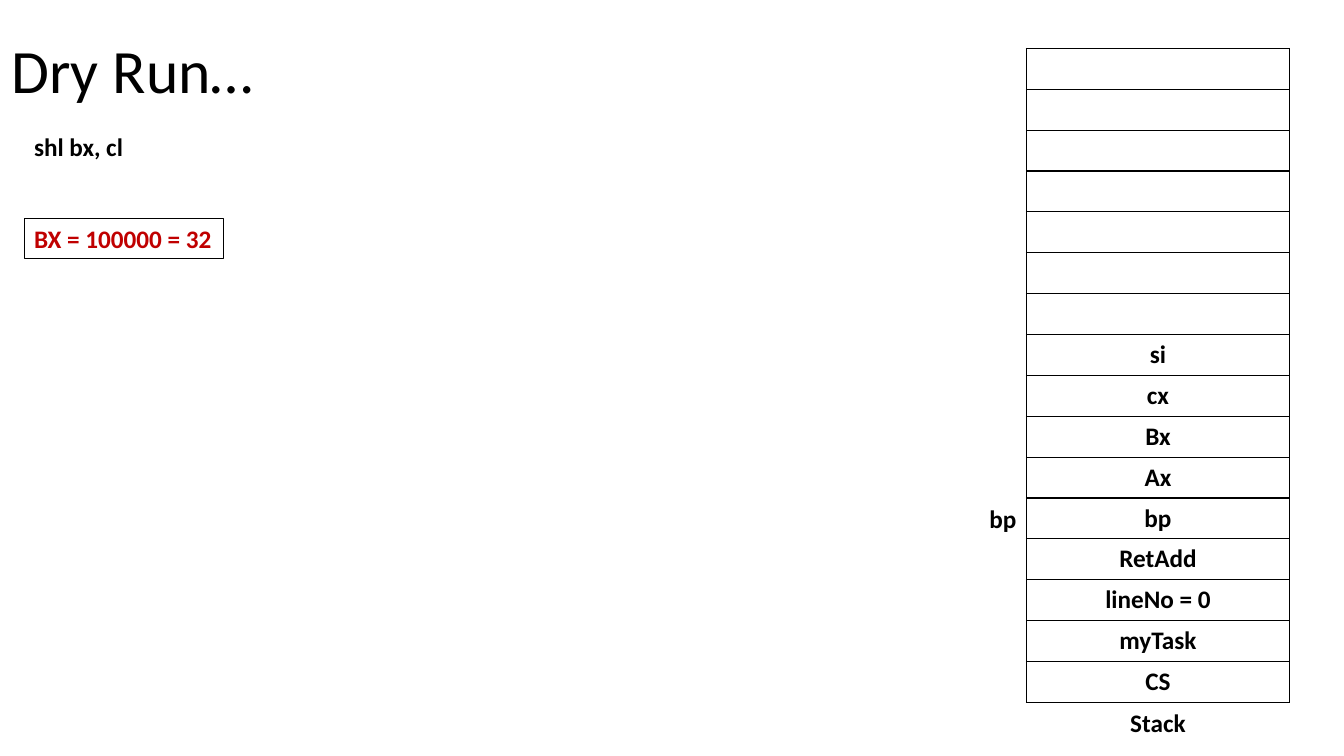
from dataclasses import dataclass

from lxml import etree
from pptx import Presentation
from pptx.dml.color import RGBColor
from pptx.enum.shapes import MSO_SHAPE
from pptx.enum.text import MSO_ANCHOR, MSO_AUTO_SIZE, PP_ALIGN
from pptx.oxml.ns import qn
from pptx.util import Inches, Pt

RECTANGLE = MSO_SHAPE.RECTANGLE
MIDDLE = MSO_ANCHOR.MIDDLE
FIXED_SIZE = MSO_AUTO_SIZE.NONE
GROW_TO_TEXT = MSO_AUTO_SIZE.SHAPE_TO_FIT_TEXT
LEFT, CENTER, RIGHT = PP_ALIGN.LEFT, PP_ALIGN.CENTER, PP_ALIGN.RIGHT
CELL_EDGES = ("a:lnL", "a:lnR", "a:lnT", "a:lnB")


@dataclass(frozen=True)
class Theme:
    font: str = "Calibri"
    ink: str = "000000"
    result: str = "C00000"
    title_size: int = 44
    body_size: int = 18
    box_line: float = 0.75
    cell_line: float = 1


class SlideBuilder:
    GRID = 100

    def __init__(self, presentation, theme):
        self.theme = theme
        self.width = presentation.slide_width
        self.height = presentation.slide_height
        self.slide = presentation.slides.add_slide(presentation.slide_layouts[5])

    def place(self, left, top, width, height):
        return (
            round(left * self.width / self.GRID),
            round(top * self.height / self.GRID),
            round(width * self.width / self.GRID),
            round(height * self.height / self.GRID),
        )

    def set_text(self, text_frame, text, size, color, alignment, bold=True):
        text_frame.text = text
        paragraph = text_frame.paragraphs[0]
        paragraph.alignment = alignment
        paragraph.font.name = self.theme.font
        paragraph.font.size = Pt(size)
        paragraph.font.bold = bold
        paragraph.font.color.rgb = RGBColor.from_string(color)
        return paragraph

    def title(self, text, *area):
        title = self.slide.shapes.title
        title.left, title.top, title.width, title.height = self.place(*area)
        title.text_frame.vertical_anchor = MIDDLE
        title.text_frame.auto_size = FIXED_SIZE
        paragraph = self.set_text(title.text_frame, text, self.theme.title_size,
                                  self.theme.ink, LEFT, bold=False)
        paragraph.line_spacing = 0.9

    def fit_text(self, shape, text, color, alignment):
        shape.text_frame.word_wrap = False
        shape.text_frame.auto_size = GROW_TO_TEXT
        self.set_text(shape.text_frame, text, self.theme.body_size, color, alignment)

    def label(self, text, *area, alignment=LEFT):
        shape = self.slide.shapes.add_textbox(*self.place(*area))
        self.fit_text(shape, text, self.theme.ink, alignment)

    def result_box(self, text, *area):
        shape = self.slide.shapes.add_shape(RECTANGLE, *self.place(*area))
        shape.shadow.inherit = False
        shape.fill.background()
        shape.line.color.rgb = RGBColor.from_string(self.theme.ink)
        shape.line.width = Pt(self.theme.box_line)
        self.fit_text(shape, text, self.theme.result, LEFT)

    def border(self, cell):
        properties = cell._tc.get_or_add_tcPr()
        for edge in CELL_EDGES:
            line = etree.SubElement(properties, qn(edge), w=str(Pt(self.theme.cell_line)))
            fill = etree.SubElement(line, qn("a:solidFill"))
            etree.SubElement(fill, qn("a:srgbClr"), val=self.theme.ink)

    def stack(self, entries, left, top, width, row_height):
        area = self.place(left, top, width, row_height * len(entries))
        table = self.slide.shapes.add_table(len(entries), 1, *area).table
        table.first_row = False
        table.horz_banding = False
        for row, entry in enumerate(entries):
            cell = table.cell(row, 0)
            self.border(cell)
            cell.fill.background()
            self.set_text(cell.text_frame, entry, self.theme.body_size, self.theme.ink, CENTER)


def main():
    presentation = Presentation()
    presentation.slide_width = Inches(13.33)
    presentation.slide_height = Inches(7.5)
    builder = SlideBuilder(presentation, Theme())

    pushed = ["si", "cx", "Bx", "Ax", "bp", "RetAdd", "lineNo = 0", "myTask", "CS"]
    entries = [""] * 7 + pushed
    stack_left, stack_top, stack_width, row = 76.37, 6.4, 19.58, 5.41
    text_left, text_height = 1.8, 5.33
    pointer_width, caption_width = 3.53, 5.7

    builder.title("Dry Run…", 0.08, 0, 86.27, 19.33)
    builder.stack(entries, stack_left, stack_top, stack_width, row)
    builder.result_box("BX = 100000 = 32", text_left, 28.93, 14.85, text_height)
    builder.label("shl bx, cl", text_left, 16.67, 8.18, text_height)
    builder.label("bp", stack_left - pointer_width, stack_top + entries.index("bp") * row,
                  pointer_width, text_height, alignment=RIGHT)
    builder.label("Stack", stack_left + (stack_width - caption_width) / 2,
                  stack_top + len(entries) * row, caption_width, text_height, alignment=CENTER)
    presentation.save("out.pptx")


if __name__ == "__main__":
    main()
